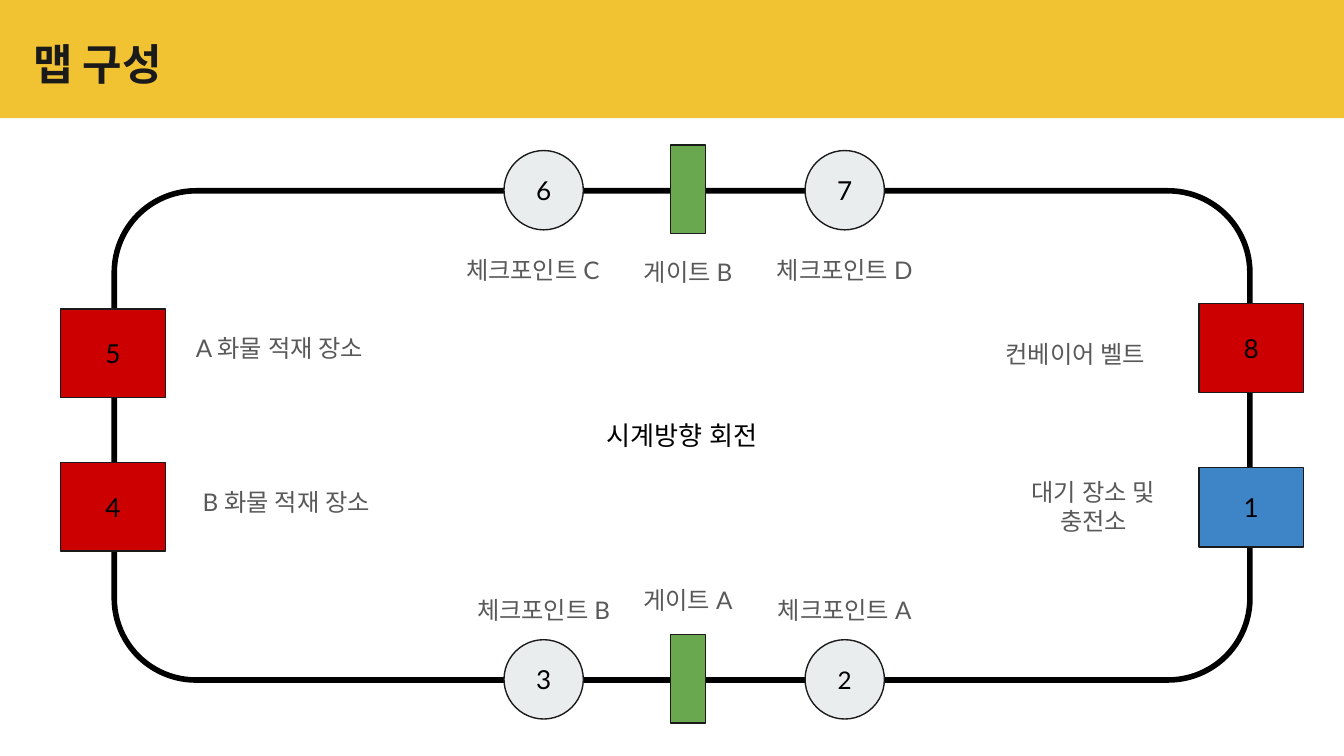
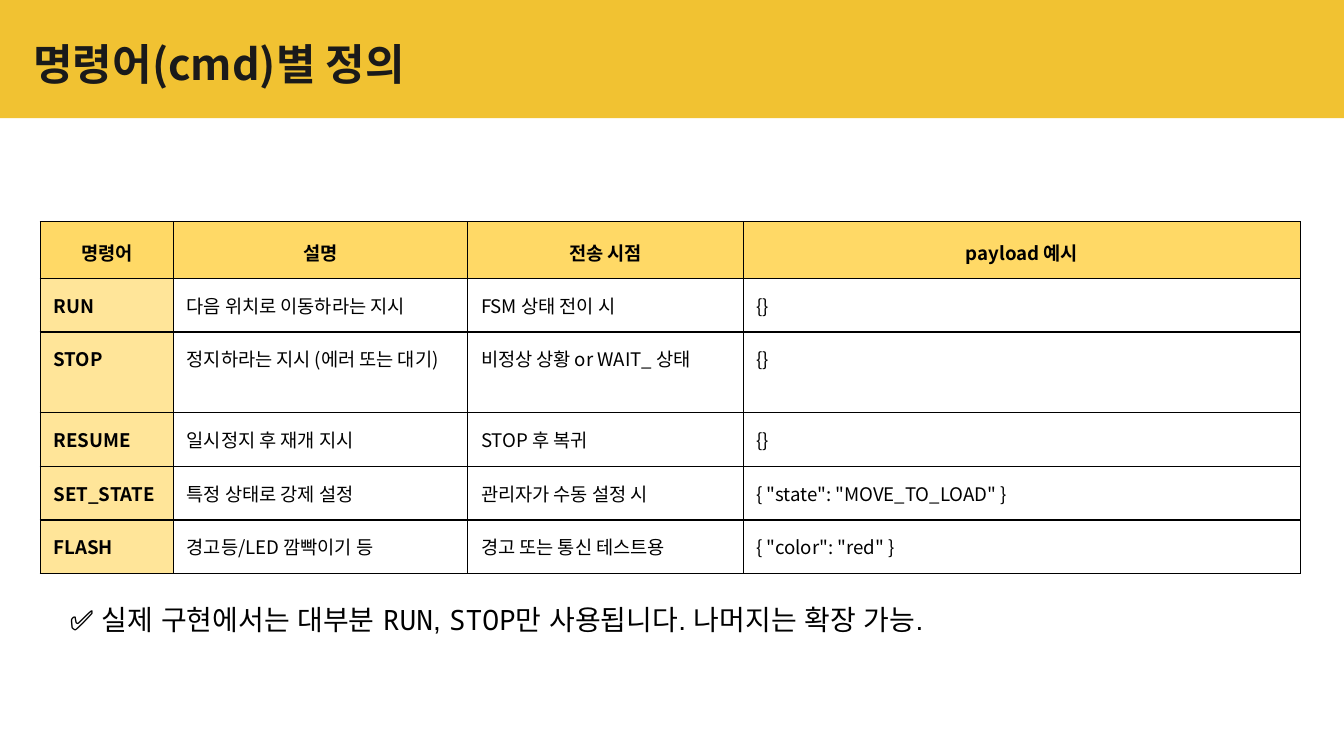
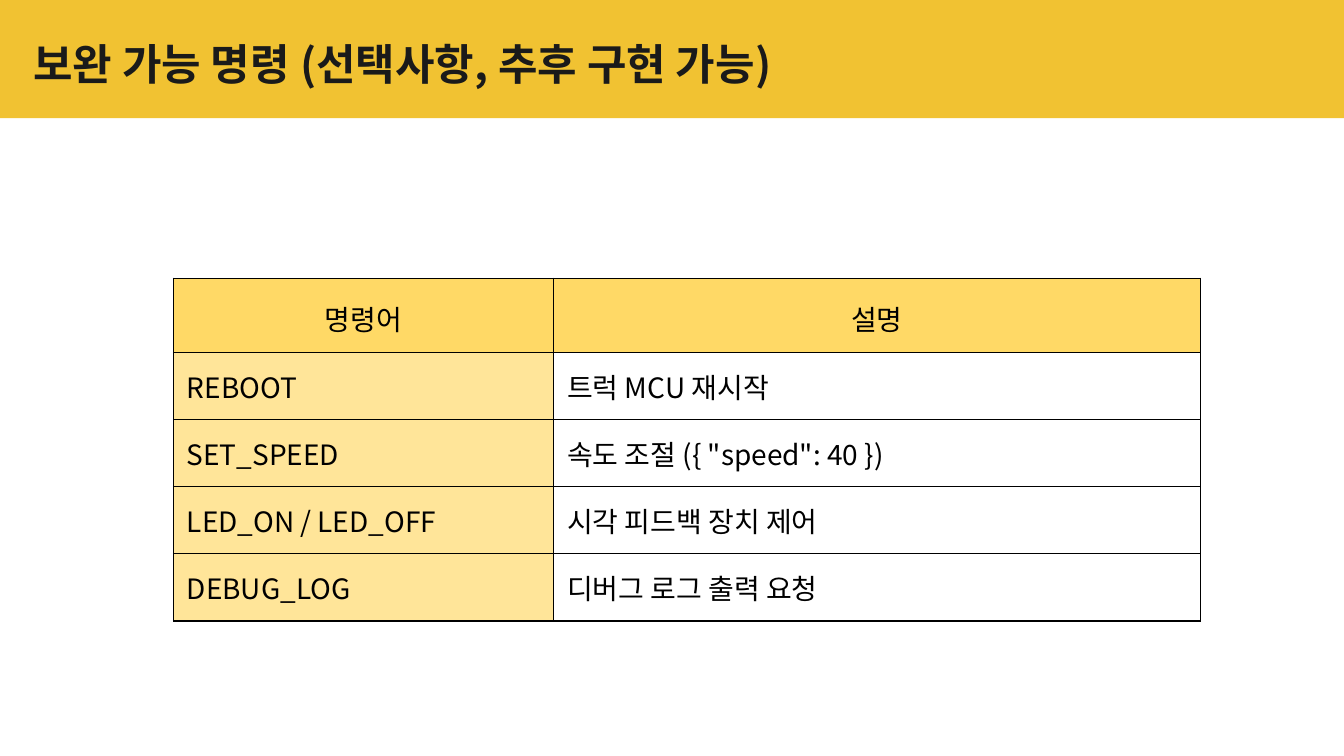
"""Build three slides on the truck map and its commands."""
import lxml.etree
import pptx
import pptx.dml.color
import pptx.enum.shapes
import pptx.enum.text
import pptx.oxml
import pptx.oxml.ns
import pptx.util
from pptx.util import Inches

COLORS = {
    "band": "F1C232", "title": "1A1A1A", "outline": "1A1A1A", "text": "000000",
    "label": "595959", "gate": "6AA84F", "station": "CC0000", "charger": "3D85C6",
    "checkpoint": "E9EDEE", "header": "FFD966", "command": "FFE599",
}
RGB = {name: pptx.dml.color.RGBColor.from_string(code) for name, code in COLORS.items()}
SHAPES = pptx.enum.shapes.MSO_SHAPE
LEFT, CENTER = pptx.enum.text.PP_ALIGN.LEFT, pptx.enum.text.PP_ALIGN.CENTER
TOP, MIDDLE = pptx.enum.text.MSO_ANCHOR.TOP, pptx.enum.text.MSO_ANCHOR.MIDDLE
KOREAN = "Noto Sans CJK KR"


def write_text(holder, paragraph, text, size, font="Lato", color="text", bold=False,
               align=CENTER, anchor=MIDDLE):
    holder.margin_left = holder.margin_right = Inches(0.1)
    holder.margin_top = holder.margin_bottom = Inches(0.1)
    holder.vertical_anchor = anchor
    holder.word_wrap = True
    paragraph.text = text
    paragraph.alignment = align
    paragraph.font.size = pptx.util.Pt(size)
    paragraph.font.name = font
    paragraph.font.bold = bold
    paragraph.font.color.rgb = RGB[color]
    properties = paragraph._p.pPr.find(pptx.oxml.ns.qn("a:defRPr"))
    lxml.etree.SubElement(properties, pptx.oxml.ns.qn("a:ea"), typeface=font)


def add_box(slide, kind, frame, fill=None, line=None, line_width=0.75):
    shape = slide.shapes.add_shape(kind, *map(Inches, frame))
    shape.shadow.inherit = False
    if fill:
        shape.fill.solid()
        shape.fill.fore_color.rgb = RGB[fill]
    else:
        shape.fill.background()
    if line:
        shape.line.color.rgb = RGB[line]
        shape.line.width = pptx.util.Pt(line_width)
    else:
        shape.line.fill.background()
    return shape


presentation = pptx.Presentation()
presentation.slide_width = Inches(10)
presentation.slide_height = Inches(10) * 9 // 16

slides = []
for title in ["맵 구성", "명령어(cmd)별 정의", "보완 가능 명령 (선택사항, 추후 구현 가능)"]:
    slide = presentation.slides.add_slide(presentation.slide_layouts[6])
    add_box(slide, SHAPES.RECTANGLE, (0, 0, 10, 0.88), "band")
    title_frame = slide.shapes.add_textbox(*map(Inches, (0.15, 0.18, 8.41, 0.59))).text_frame
    write_text(title_frame, title_frame.paragraphs[0], title, 23, KOREAN, "title", True, LEFT, TOP)
    slides.append(slide)
map_slide, command_slide, optional_slide = slides

track = add_box(map_slide, SHAPES.ROUNDED_RECTANGLE, (0.85, 1.42, 8.45, 3.64), None, "text", 3)
track.adjustments[0] = 0.167
write_text(track.text_frame, track.text_frame.paragraphs[0], "시계방향 회전", 14)

for gate_top in (1.08, 4.72):
    add_box(map_slide, SHAPES.RECTANGLE, (4.99, gate_top, 0.26, 0.66), "gate", "outline")

stops = [
    ("1", SHAPES.RECTANGLE, (8.92, 3.48, 0.78, 0.59), "charger", 14),
    ("2", SHAPES.OVAL, (5.99, 4.76, 0.59, 0.59), "checkpoint", 13),
    ("3", SHAPES.OVAL, (3.75, 4.76, 0.59, 0.59), "checkpoint", 14),
    ("4", SHAPES.RECTANGLE, (0.45, 3.44, 0.78, 0.66), "station", 14),
    ("5", SHAPES.RECTANGLE, (0.45, 2.3, 0.78, 0.66), "station", 14),
    ("6", SHAPES.OVAL, (3.75, 1.12, 0.59, 0.59), "checkpoint", 14),
    ("7", SHAPES.OVAL, (5.99, 1.12, 0.59, 0.59), "checkpoint", 14),
    ("8", SHAPES.RECTANGLE, (8.92, 2.26, 0.78, 0.66), "station", 14),
]
for number, kind, frame, fill, size in stops:
    stop = add_box(map_slide, kind, frame, fill, "outline")
    write_text(stop.text_frame, stop.text_frame.paragraphs[0], number, size)

labels = [
    ("게이트 A", (4.65, 4.3, 0.94, 0.32)),
    ("게이트 B", (4.65, 1.86, 0.94, 0.32)),
    ("A 화물 적재 장소", (1.33, 2.43, 1.5, 0.32)),
    ("B 화물 적재 장소", (1.33, 3.57, 1.6, 0.32)),
    ("컨베이어 벨트", (7.34, 2.47, 1.32, 0.32)),
    ("대기 장소 및 충전소", (7.53, 3.59, 1.21, 0.36)),
    ("체크포인트 A", (5.68, 4.36, 1.21, 0.36)),
    ("체크포인트 B", (3.44, 4.36, 1.21, 0.36)),
    ("체크포인트 C", (3.36, 1.83, 1.21, 0.36)),
    ("체크포인트 D", (5.68, 1.83, 1.21, 0.36)),
]
for label, frame in labels:
    label_frame = map_slide.shapes.add_textbox(*map(Inches, frame)).text_frame
    write_text(label_frame, label_frame.paragraphs[0], label, 13, color="label")

commands = [
    ("명령어", "설명", "전송 시점", "payload 예시"),
    ("RUN", "다음 위치로 이동하라는 지시", "FSM 상태 전이 시", "{}"),
    ("STOP", "정지하라는 지시 (에러 또는 대기)", "비정상 상황 or WAIT_ 상태", "{}"),
    ("RESUME", "일시정지 후 재개 지시", "STOP 후 복귀", "{}"),
    ("SET_STATE", "특정 상태로 강제 설정", "관리자가 수동 설정 시", '{ "state": "MOVE_TO_LOAD" }'),
    ("FLASH", "경고등/LED 깜빡이기 등", "경고 또는 통신 테스트용", '{ "color": "red" }'),
]
optional_commands = [
    ("명령어", "설명"),
    ("REBOOT", "트럭 MCU 재시작"),
    ("SET_SPEED", '속도 조절 ({ "speed": 40 })'),
    ("LED_ON / LED_OFF", "시각 피드백 장치 제어"),
    ("DEBUG_LOG", "디버그 로그 출력 요청"),
]
tables = [
    (command_slide, commands, 0.3, 1.65, (0.99, 2.19, 2.05, 4.15),
     (0.42, 0.4, 0.6, 0.4, 0.4, 0.4), 10, True),
    (optional_slide, optional_commands, 1.29, 2.07, (2.83, 4.81),
     (0.55, 0.5, 0.5, 0.5, 0.5), 15, False),
]
for slide, rows, left, top, widths, heights, size, bold_heads in tables:
    table = slide.shapes.add_table(
        len(rows), len(widths), Inches(left), Inches(top),
        Inches(sum(widths)), Inches(sum(heights))).table
    table.first_row = table.horz_banding = False
    for column, width in zip(table.columns, widths):
        column.width = Inches(width)
    for row_index, (row, height) in enumerate(zip(rows, heights)):
        table.rows[row_index].height = Inches(height)
        for column_index, text in enumerate(row):
            cell = table.cell(row_index, column_index)
            paragraph = cell.text_frame.paragraphs[0]
            is_header, is_command = row_index == 0, column_index == 0
            write_text(cell, paragraph, text, size, KOREAN,
                       bold=bold_heads and (is_header or is_command),
                       align=CENTER if is_header else LEFT, anchor=TOP)
            if is_header:
                paragraph.line_spacing = 1.15
            for position, side in enumerate(("lnL", "lnR", "lnT", "lnB")):
                border = pptx.oxml.parse_xml(
                    f'<a:{side} {pptx.oxml.ns.nsdecls("a")} w="9525"><a:solidFill>'
                    f'<a:srgbClr val="{COLORS["text"]}"/></a:solidFill></a:{side}>')
                cell._tc.get_or_add_tcPr().insert(position, border)
            if is_header or is_command:
                cell.fill.solid()
                cell.fill.fore_color.rgb = RGB["header" if is_header else "command"]
            else:
                cell.fill.background()

note_frame = command_slide.shapes.add_textbox(*map(Inches, (0.42, 4.38, 7.16, 0.45))).text_frame
note = note_frame.paragraphs[0]
write_text(note_frame, note, "", 15, "Arial", align=LEFT, anchor=TOP)
note_frame.auto_size = pptx.enum.text.MSO_AUTO_SIZE.SHAPE_TO_FIT_TEXT
for text, font in [("✅ 실제 구현에서는 대부분 ", "Arial"), ("RUN", "Noto Sans Mono"), (", ", "Arial"),
                   ("STOP", "Noto Sans Mono"), ("만 사용됩니다. 나머지는 확장 가능.", "Arial")]:
    run = note.add_run()
    run.text = text
    run.font.name = font

presentation.save("out.pptx")
